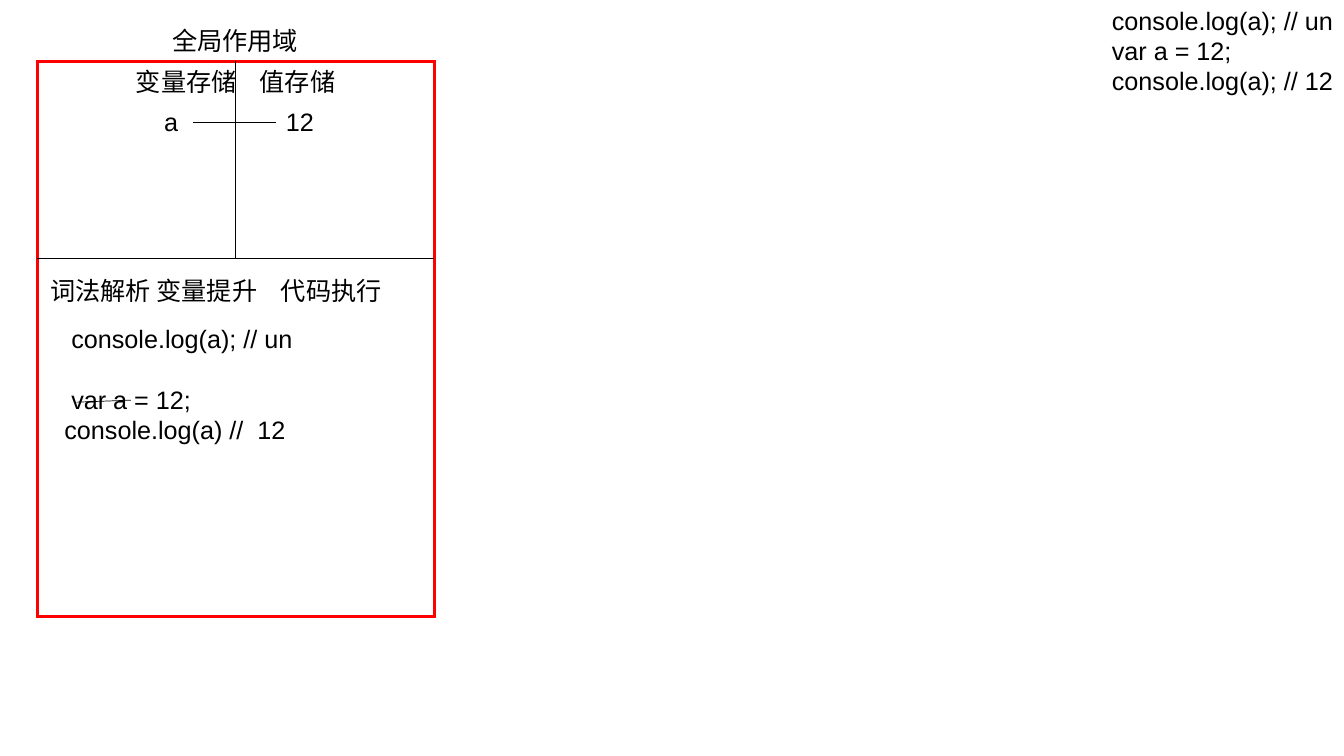
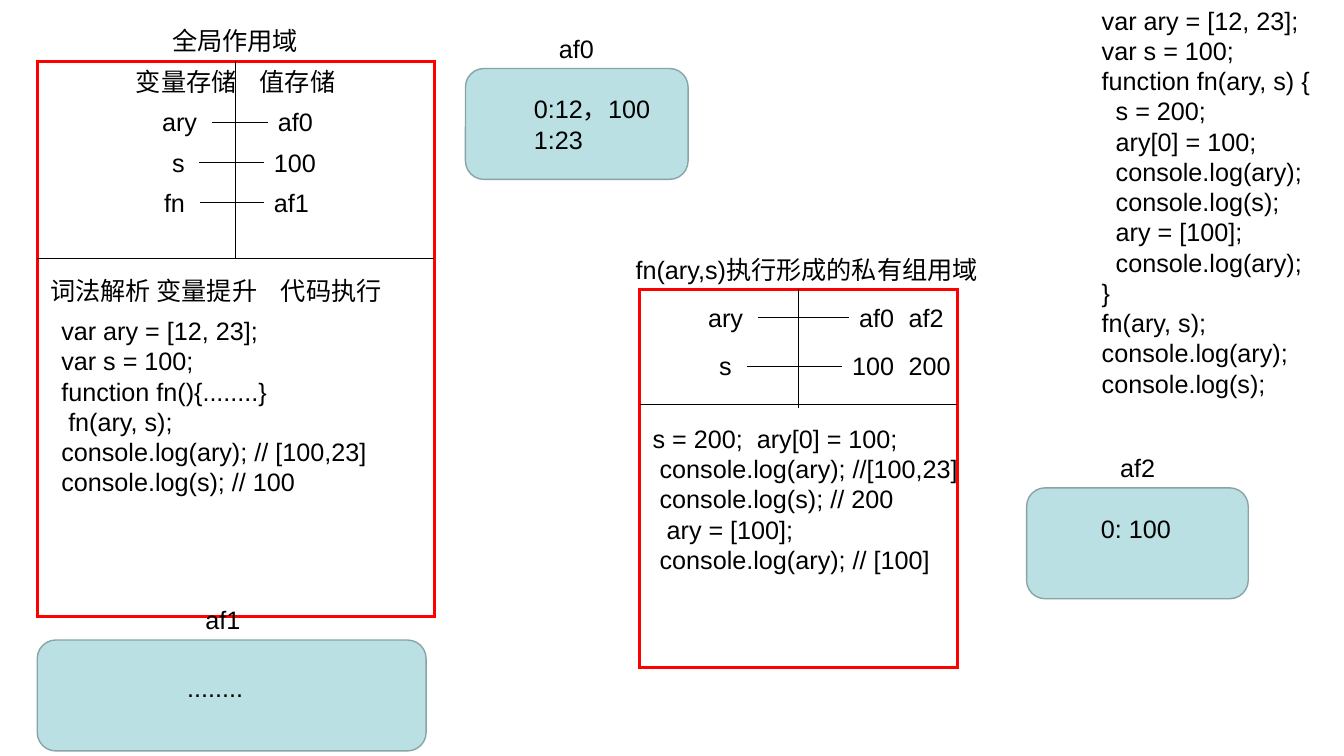
from dataclasses import dataclass

from lxml import etree
from pptx import Presentation
from pptx.dml.color import RGBColor
from pptx.enum.shapes import MSO_CONNECTOR, MSO_SHAPE
from pptx.enum.text import MSO_AUTO_SIZE
from pptx.oxml.ns import qn
from pptx.util import Inches, Pt

RECT = MSO_SHAPE.RECTANGLE
ROUND = MSO_SHAPE.ROUNDED_RECTANGLE
LINE = MSO_CONNECTOR.STRAIGHT
FIT = MSO_AUTO_SIZE.SHAPE_TO_FIT_TEXT
TOP, LEFT, RIGHT = 0, 1, 3


@dataclass(frozen=True)
class Theme:
    font: str = "Arial"
    size: float = 18
    pitch: float = 21.6
    slack: float = 0.05
    ink: str = "000000"
    paper: str = "FFFFFF"
    frame: str = "FF0000"
    card: str = "BBE0E3"
    edge: str = "89A4A7"
    thin: float = 0.5
    mid: float = 1
    thick: float = 2.25


@dataclass(frozen=True)
class Box:
    x: float
    y: float
    w: float
    h: float


THEME = Theme()
MAIN = Box(0.37, 0.61, 3.94, 5.51)
CALL = Box(6.35, 2.87, 3.15, 3.75)


def color(code):
    return RGBColor.from_string(code)


def add_text(slide, x, y, w, lines, wrap=False, gaps=()):
    rows = lines.split("\n")
    high = 0.1 + 0.3 * (len(rows) + len(gaps))
    text = slide.shapes.add_textbox(
        Inches(x), Inches(y), Inches(w + THEME.slack), Inches(high))
    frame = text.text_frame
    frame.text = lines
    frame.word_wrap = wrap
    frame.auto_size = FIT
    for i, para in enumerate(frame.paragraphs):
        if len(rows) > 1:
            para.line_spacing = Pt(THEME.pitch)
        if i in gaps:
            para.space_before = Pt(THEME.pitch)
        for run in para.runs:
            run.font.name = THEME.font
            run.font.size = Pt(THEME.size)
            run.font.color.rgb = color(THEME.ink)
    return text


def add_line(slide, x1, y1, x2, y2):
    line = slide.shapes.add_connector(
        LINE, Inches(x1), Inches(y1), Inches(x2), Inches(y2))
    line.line.color.rgb = color(THEME.ink)
    line.line.width = Pt(THEME.thin)
    etree.SubElement(line._element.spPr, qn("a:effectLst"))
    return line


def add_panel(slide, kind, box, fill, edge, width):
    panel = slide.shapes.add_shape(
        kind, Inches(box.x), Inches(box.y), Inches(box.w), Inches(box.h))
    panel.shadow.inherit = False
    panel.fill.solid()
    panel.fill.fore_color.rgb = color(fill)
    panel.line.color.rgb = color(edge)
    panel.line.width = Pt(width)
    edges = panel._element.spPr.find(qn("a:ln"))
    etree.SubElement(edges, qn("a:miter")).set("lim", "800000")
    return panel


def add_scope(slide, box, split, stem):
    panel = add_panel(slide, RECT, box, THEME.paper, THEME.frame, THEME.thick)
    add_line(slide, box.x, box.y + split, box.x + box.w, box.y + split)
    half = box.x + box.w / 2
    add_line(slide, half, box.y, half, box.y + stem).begin_connect(panel, TOP)


def add_rows(slide, box, first, step, rows):
    for i, (name, value) in enumerate(rows):
        y = box.y + first + step * i
        key, val = (add_text(slide, box.x + dx, y, w, text)
                    for text, dx, w in (name, value))
        link = add_line(slide, box.x, y, box.x + 1, y)
        link.begin_connect(key, RIGHT)
        link.end_connect(val, LEFT)


def add_main(slide, rows):
    box = MAIN
    add_scope(slide, box, 1.95, 1.96)
    for text, dx, dy, w in (
        ("全局作用域", 1.24, -0.41, 1.45),
        ("变量存储", 0.88, 0, 1.2),
        ("值存储", 2.11, 0, 0.95),
        ("词法解析 变量提升", 0.03, 2.07, 2.27),
        ("代码执行", 2.32, 2.07, 1.2),
    ):
        add_text(slide, box.x + dx, box.y + dy, w, text)
    add_rows(slide, box, 0.4, 0.4, rows)


def add_call(slide):
    box = CALL
    add_scope(slide, box, 1.14, 1.18)
    add_text(slide, box.x - 0.14, box.y - 0.4, 3.67, "fn(ary,s)执行形成的私有组用域")
    first, step = 0.08, 0.48
    add_rows(slide, box, first, step, (
        (("ary", 0.58, 0.54), ("af0", 2.08, 0.55)),
        (("s", 0.69, 0.32), ("100", 2.01, 0.61)),
    ))
    for i, (text, w) in enumerate((("af2", 0.55), ("200", 0.61))):
        add_text(slide, box.x + 2.57, box.y + first + step * i, w, text)
    add_text(slide, box.x + 0.03, box.y + 1.28, 3.23, """\
s = 200;  ary[0] = 100;
 console.log(ary); //[100,23]
 console.log(s); // 200
  ary = [100];
 console.log(ary); // [100]""")


def add_card(slide, box, name, shift, note, dx, dy, w):
    add_panel(slide, ROUND, box, THEME.card, THEME.edge, THEME.mid)
    add_text(slide, box.x + shift, box.y - 0.4, 0.55, name)
    add_text(slide, box.x + dx, box.y + dy, w, note)


def hoist_slide(slide):
    add_text(slide, 10.66, 0, 2.63, """\
    console.log(a); // un
    var a = 12;
    console.log(a); // 12""")
    add_main(slide, ((("a", 1.16, 0.34), ("12", 2.37, 0.48)),))
    add_text(slide, MAIN.x + 0.17, MAIN.y + 2.55, 2.6, """\
 console.log(a); // un
 var a = 12;
console.log(a) //  12""", gaps=(1,))
    add_line(slide, 1.3, 3.97, 0.76, 3.99)


def heap_slide(slide):
    add_text(slide, 10.56, 0, 2.73, """\
    var ary = [12, 23];
    var s = 100;
    function fn(ary, s) {
      s = 200;
      ary[0] = 100;
      console.log(ary);
      console.log(s);
      ary = [100];
      console.log(ary);
    }
    fn(ary, s);
    console.log(ary);
    console.log(s);""", wrap=True)
    add_main(slide, (
        (("ary", 1.14, 0.54), ("af0", 2.29, 0.55)),
        (("s", 1.24, 0.32), ("100", 2.25, 0.61)),
        (("fn", 1.16, 0.41), ("af1", 2.25, 0.55)),
    ))
    add_text(slide, MAIN.x + 0.14, MAIN.y + 2.47, 3.23, """\
var ary = [12, 23];
var s = 100;
function fn(){........}
 fn(ary, s);
console.log(ary); // [100,23]
console.log(s); // 100""")
    add_call(slide)
    for card in (
        (Box(4.62, 0.68, 2.21, 1.1), "af0", 0.83, "0:12，100\n1:23", 0.58, 0.2, 1.47),
        (Box(0.37, 6.35, 3.86, 1.1), "af1", 1.57, "........", 1.39, 0.27, 0.75),
        (Box(10.19, 4.84, 2.2, 1.1), "af2", 0.83, "0: 100", 0.64, 0.2, 0.89),
    ):
        add_card(slide, *card)


def main():
    deck = Presentation()
    deck.slide_width, deck.slide_height = Inches(13.34), Inches(7.5)
    blank = deck.slide_layouts[6]
    for build in (hoist_slide, heap_slide):
        build(deck.slides.add_slide(blank))
    deck.save("out.pptx")


if __name__ == "__main__":
    main()
